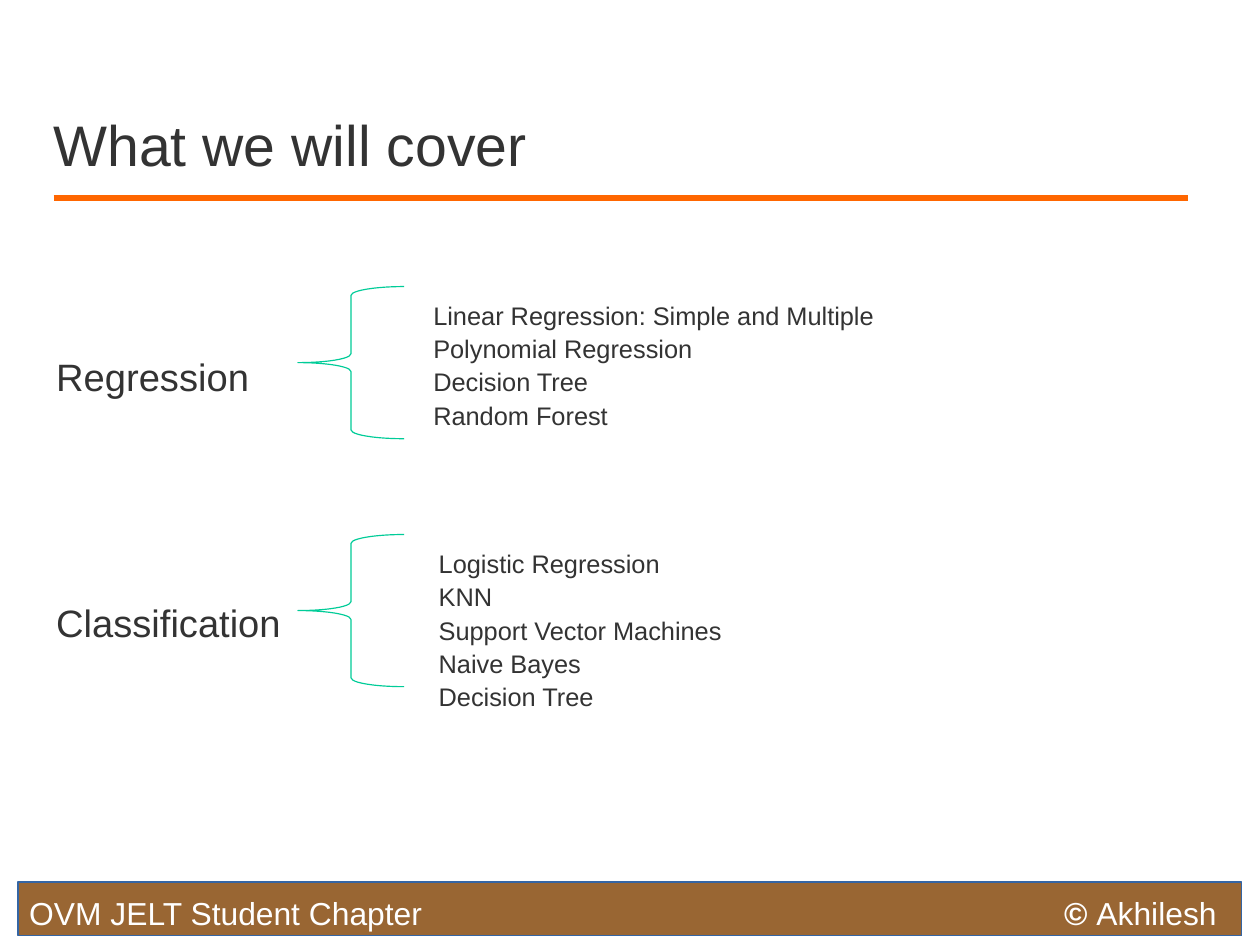
from lxml import etree
from pptx import Presentation
from pptx.dml.color import RGBColor
from pptx.enum.shapes import MSO_CONNECTOR, MSO_SHAPE
from pptx.enum.text import MSO_ANCHOR, MSO_AUTO_SIZE, PP_ALIGN
from pptx.oxml.ns import qn
from pptx.util import Cm, Pt

STRAIGHT = MSO_CONNECTOR.STRAIGHT
BRACE, RECTANGLE = MSO_SHAPE.LEFT_BRACE, MSO_SHAPE.RECTANGLE
TOP, MIDDLE = MSO_ANCHOR.TOP, MSO_ANCHOR.MIDDLE
LEFT = PP_ALIGN.LEFT
FIXED = MSO_AUTO_SIZE.NONE

TITLE = "What we will cover"
TOPICS = [
    {
        "name": "Regression",
        "name_top": 7.85,
        "brace_top": 6.37,
        "methods_at": (9.63, 6.6),
        "methods": [
            "Linear Regression: Simple and Multiple",
            "Polynomial Regression",
            "Decision Tree",
            "Random Forest",
        ],
    },
    {
        "name": "Classification",
        "name_top": 13.32,
        "brace_top": 11.88,
        "methods_at": (9.75, 12.12),
        "methods": [
            "Logistic Regression",
            "KNN",
            "Support Vector Machines",
            "Naive Bayes",
            "Decision Tree",
        ],
    },
]
FOOTER_LEFT = [("OVM JELT Student Chapter", False)]
FOOTER_RIGHT = [("© ", True), ("Akhilesh", False)]

FONT = "Arial"
DARK, WHITE = "333333", "FFFFFF"
ORANGE, GREEN = "FF6600", "00CC98"
BROWN, BLUE = "996633", "3465A4"
LINE_PITCH = 21
LINE_HEIGHT = 0.74


def color(value):
    return RGBColor.from_string(value)


def write(box, lines, size, fill=DARK, anchor=TOP, pitch=None):
    frame = box.text_frame
    frame.word_wrap = True
    frame.auto_size = FIXED
    frame.vertical_anchor = anchor
    frame.margin_left = frame.margin_right = 0
    frame.margin_top = frame.margin_bottom = 0
    for index, line in enumerate(lines):
        para = frame.add_paragraph() if index else frame.paragraphs[0]
        para.alignment = LEFT
        para.line_spacing = Pt(pitch) if pitch else 1.0
        for text, bold in line:
            span = para.add_run()
            span.text = text
            span.font.name = FONT
            span.font.size = Pt(size)
            span.font.bold = bold
            span.font.color.rgb = color(fill)


def add_text(page, lines, left, top, width, height, **style):
    box = page.shapes.add_textbox(Cm(left), Cm(top), Cm(width), Cm(height))
    write(box, lines, **style)


def add_outline(page, kind, left, top, width, height, line, fill=None):
    shape = page.shapes.add_shape(kind, Cm(left), Cm(top), Cm(width), Cm(height))
    shape.shadow.inherit = False
    shape.line.color.rgb = color(line)
    shape.line.width = Pt(0.75)
    if fill:
        shape.fill.solid()
        shape.fill.fore_color.rgb = color(fill)
    else:
        shape.fill.background()


def add_heading(page):
    title = page.shapes.title
    title.left, title.top = Cm(1.19), Cm(2.4)
    title.width, title.height = Cm(19.2), Cm(1.57)
    write(title, [[(TITLE, False)]], size=36, anchor=MIDDLE)
    rule = page.shapes.add_connector(STRAIGHT, Cm(1.19), Cm(4.4), Cm(26.4), Cm(4.4))
    rule.line.color.rgb = color(ORANGE)
    rule.line.width = Pt(3.7)
    etree.SubElement(rule._element.spPr, qn("a:effectLst"))


def add_topic(page, topic):
    add_text(page, [[(topic["name"], False)]], 1.25, topic["name_top"], 5.3, 0.97, size=24)
    add_outline(page, BRACE, 6.62, topic["brace_top"], 2.36, 3.38, GREEN)
    lines = [[(method, False)] for method in topic["methods"]]
    left, top = topic["methods_at"]
    add_text(page, lines, left, top, 16.6, len(lines) * LINE_HEIGHT, size=16, pitch=LINE_PITCH)


def add_footer(page):
    add_outline(page, RECTANGLE, 0.4, 19.6, 27.2, 1.2, BLUE, BROWN)
    for line, left, width in [(FOOTER_LEFT, 0.65, 10), (FOOTER_RIGHT, 23.65, 3.8)]:
        add_text(page, [line], left, 19.87, width, 0.82, size=20, fill=WHITE)


def main():
    deck = Presentation()
    deck.slide_width, deck.slide_height = Cm(28), Cm(21)
    page = deck.slides.add_slide(deck.slide_layouts[5])
    add_heading(page)
    for topic in TOPICS:
        add_topic(page, topic)
    add_footer(page)
    deck.save("out.pptx")


if __name__ == "__main__":
    main()
